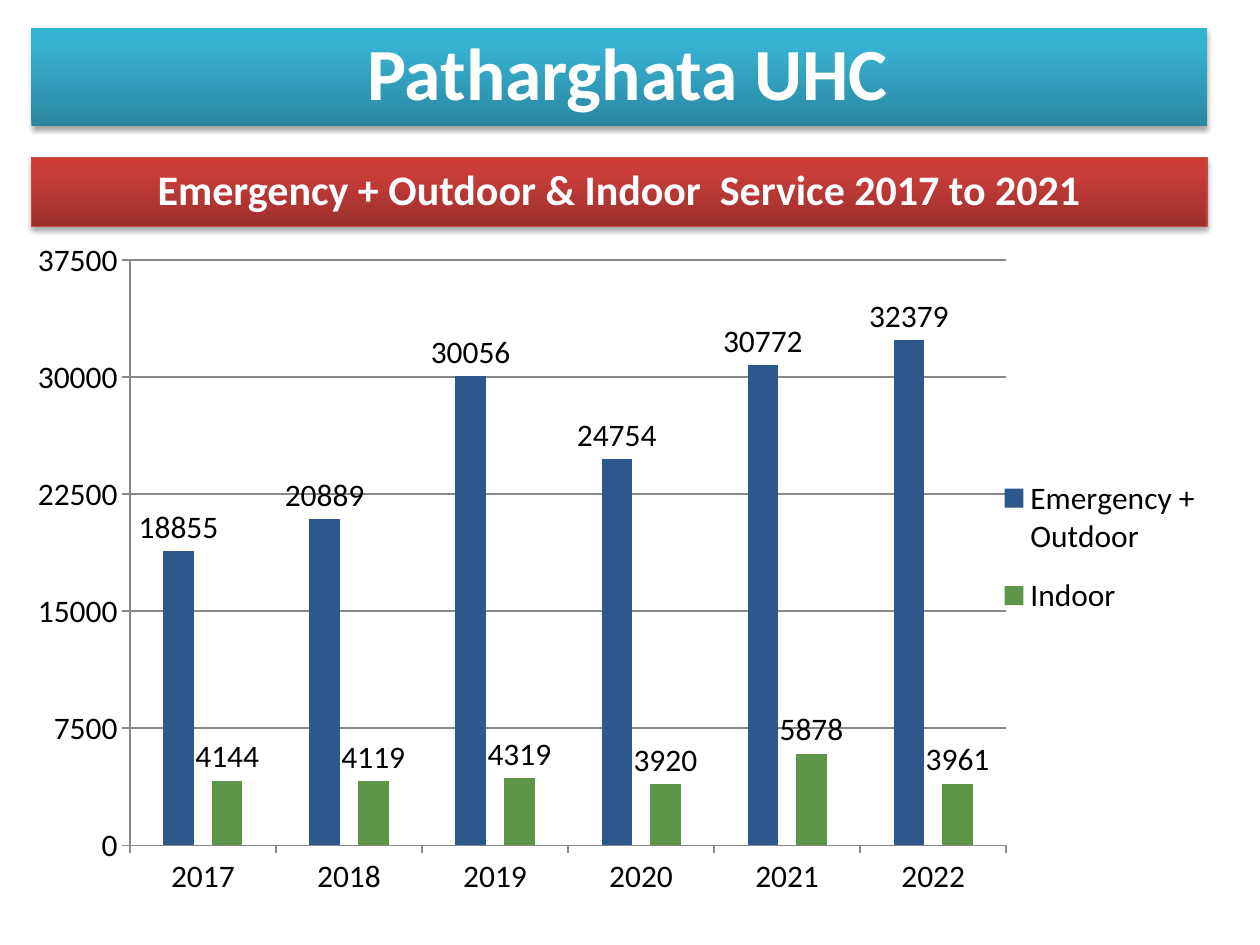
from lxml import etree
from pptx import Presentation
from pptx.chart.data import CategoryChartData
from pptx.dml.color import RGBColor
from pptx.enum.chart import (XL_CHART_TYPE, XL_LABEL_POSITION, XL_LEGEND_POSITION,
                             XL_TICK_LABEL_POSITION, XL_TICK_MARK)
from pptx.enum.shapes import MSO_SHAPE
from pptx.enum.text import MSO_ANCHOR, PP_ALIGN
from pptx.oxml import parse_xml
from pptx.oxml.ns import qn
from pptx.util import Inches, Pt

COLUMN = XL_CHART_TYPE.COLUMN_CLUSTERED
OUT_END = XL_LABEL_POSITION.OUTSIDE_END
RIGHT = XL_LEGEND_POSITION.RIGHT
LOW = XL_TICK_LABEL_POSITION.LOW
OUT = XL_TICK_MARK.OUTSIDE
RECT = MSO_SHAPE.RECTANGLE
MIDDLE = MSO_ANCHOR.MIDDLE
CENTER = PP_ALIGN.CENTER

FONT = "Calibri"
WHITE = RGBColor(0xFF, 0xFF, 0xFF)
BLACK = RGBColor(0x00, 0x00, 0x00)
GRAY = RGBColor(0x88, 0x88, 0x88)
BLUE = RGBColor(0x2E, 0x57, 0x8C)
GREEN = RGBColor(0x5D, 0x96, 0x48)
EDGE = RGBColor(0xBE, 0x4B, 0x48)
TEALS = [(0, RGBColor(0x2A, 0x86, 0x9F)), (80, RGBColor(0x37, 0xB1, 0xD1)),
         (100, RGBColor(0x34, 0xB3, 0xD5))]
REDS = [(0, RGBColor(0x9A, 0x2F, 0x2C)), (80, RGBColor(0xCA, 0x3E, 0x3A)),
        (100, RGBColor(0xCE, 0x3B, 0x37))]
A_NS = 'xmlns:a="http://schemas.openxmlformats.org/drawingml/2006/main"'

YEARS = ["2017", "2018", "2019", "2020", "2021", "2022"]
SERIES = [
    ("Emergency + Outdoor", [18855, 20889, 30056, 24754, 30772, 32379], BLUE),
    ("Indoor", [4144, 4119, 4319, 3920, 5878, 3961], GREEN),
]


def add_bar(shapes, box, stops):
    """Add a rectangle with an upward gradient and a soft shadow below."""
    bar = shapes.add_shape(RECT, *box)
    bar.line.fill.background()
    bar.shadow.inherit = False
    props = bar.fill._xPr
    marks = "".join(f'<a:gs pos="{pos * 1000}"><a:srgbClr val="{color}"/></a:gs>'
                    for pos, color in stops)
    grad = parse_xml(f'<a:gradFill {A_NS} rotWithShape="1"><a:gsLst>{marks}</a:gsLst>'
                     '<a:lin ang="16200000" scaled="0"/></a:gradFill>')
    props.find(qn("a:prstGeom")).addnext(grad)
    props.find(qn("a:effectLst")).append(parse_xml(
        f'<a:outerShdw {A_NS} blurRad="{Pt(3)}" dist="{Pt(1.8)}" dir="5400000" '
        'rotWithShape="0"><a:srgbClr val="000000"><a:alpha val="35000"/></a:srgbClr>'
        '</a:outerShdw>'))
    return bar


def write(shape, text, size):
    frame = shape.text_frame
    frame.word_wrap = True
    frame.vertical_anchor = MIDDLE
    para = frame.paragraphs[0]
    para.alignment = CENTER
    para.line_spacing = 0.9
    run = para.add_run()
    run.text = text
    style(run.font, size, WHITE)
    run.font.bold = True
    return frame


def style(font, size, color):
    font.name = FONT
    font.size = Pt(size)
    font.color.rgb = color


def add_banner(slide, box):
    left, top, width, height = box
    group = slide.shapes.add_group_shape()
    add_bar(group.shapes, box, TEALS)
    inset = Inches(0.05)
    label = group.shapes.add_textbox(left + inset, top, width - 2 * inset, height)
    frame = write(label, " Patharghata UHC", 42)
    frame.margin_left = frame.margin_right = inset
    frame.margin_top = frame.margin_bottom = inset


def add_heading(slide, box):
    bar = add_bar(slide.shapes, box, REDS)
    bar.line.color.rgb = EDGE
    bar.line.width = Pt(0.75)
    write(bar, "Emergency + Outdoor & Indoor  Service 2017 to 2021", 24)


def set_place(parent, after, area, inner=False):
    """Fix a chart part at x, y, width, height, as shares of the chart."""
    old = parent.find(qn("c:layout"))
    if old is not None:
        parent.remove(old)
    layout = etree.Element(qn("c:layout"))
    manual = etree.SubElement(layout, qn("c:manualLayout"))
    pairs = [("layoutTarget", "inner")] if inner else []
    pairs += [("xMode", "edge"), ("yMode", "edge"), *zip("xywh", area)]
    for tag, value in pairs:
        etree.SubElement(manual, qn(f"c:{tag}")).set("val", str(value))
    if after is None:
        parent.insert(0, layout)
    else:
        after.addnext(layout)


def rule(line):
    line.color.rgb = GRAY
    line.width = Pt(1)


def add_columns(slide, box):
    data = CategoryChartData(number_format="0")
    data.categories = YEARS
    for name, values, _ in SERIES:
        data.add_series(name, values)
    chart = slide.shapes.add_chart(COLUMN, *box, data).chart
    chart.has_title = False
    style(chart.font, 18, BLACK)

    plot = chart.plots[0]
    plot.vary_by_categories = False
    plot.gap_width = 220
    plot.overlap = -60
    for series, (_, _, color) in zip(plot.series, SERIES):
        series.format.fill.solid()
        series.format.fill.fore_color.rgb = color
        labels = series.data_labels
        labels.show_value = True
        labels.position = OUT_END
        labels.number_format = "0"
        labels.number_format_is_linked = False
        style(labels.font, 18, BLACK)

    years, scale = chart.category_axis, chart.value_axis
    for axis in (years, scale):
        axis.major_tick_mark = OUT
        rule(axis.format.line)
        style(axis.tick_labels.font, 18, BLACK)
    years.tick_label_position = LOW
    scale.minimum_scale = 0
    scale.maximum_scale = 37500
    scale.major_unit = 7500
    scale.tick_labels.number_format = "0"
    scale.tick_labels.number_format_is_linked = False
    rule(scale.major_gridlines.format.line)

    chart.has_legend = True
    legend = chart.legend
    legend.position = RIGHT
    legend.include_in_layout = True
    style(legend.font, 18, BLACK)
    key = legend._element
    set_place(key, key.find(qn("c:legendPos")), (0.82, 0.34, 0.18, 0.27))
    area = chart._chartSpace.chart.plotArea
    set_place(area, None, (0.077, 0.041, 0.751, 0.886), inner=True)


def main():
    deck = Presentation()
    deck.slide_width, deck.slide_height = Inches(10), Inches(7.5)
    slide = deck.slides.add_slide(deck.slide_layouts[6])
    left, width = Inches(0.25), Inches(9.33)
    add_heading(slide, (left, Inches(1.25), width, Inches(0.55)))
    add_banner(slide, (left, Inches(0.22), width, Inches(0.78)))
    add_columns(slide, (Inches(0.3), Inches(1.85), Inches(9.28), Inches(5.26)))
    deck.save("out.pptx")


if __name__ == "__main__":
    main()
